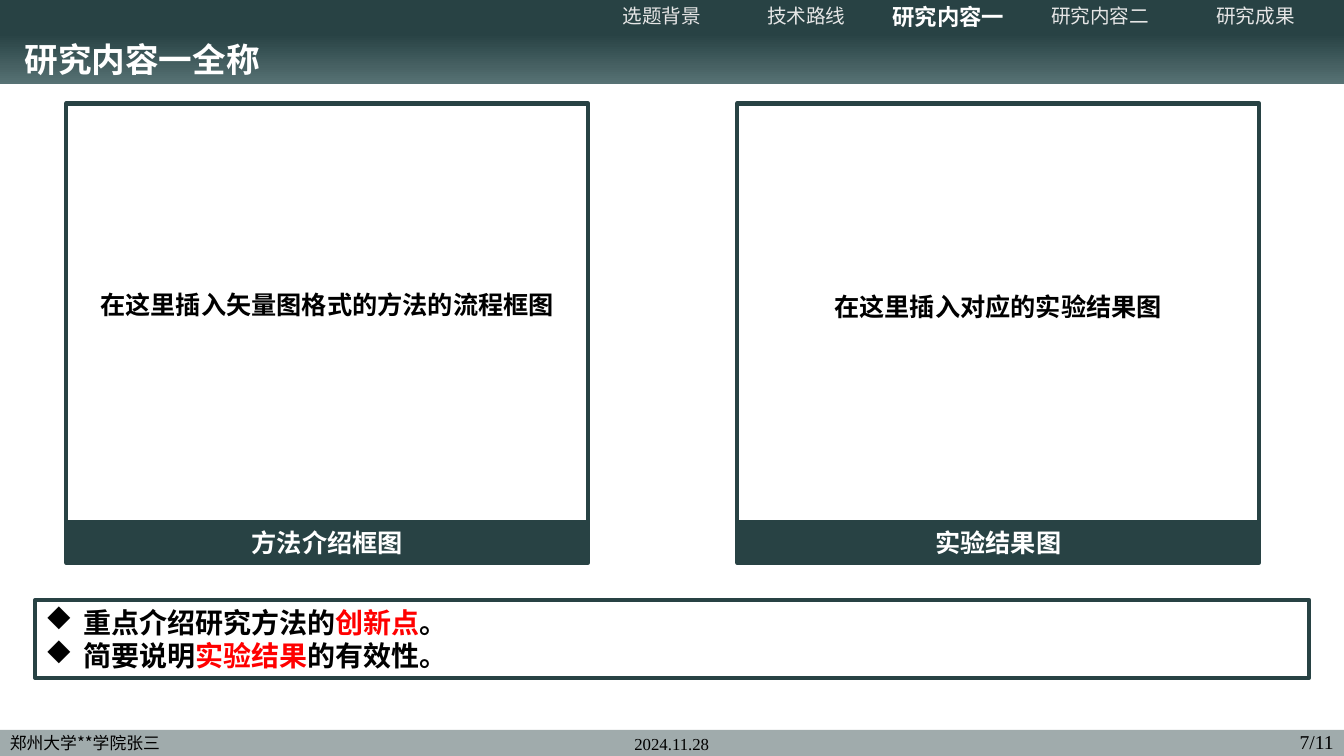
from pptx import Presentation
from pptx.dml.color import RGBColor
from pptx.enum.shapes import MSO_SHAPE as Shape
from pptx.enum.text import MSO_ANCHOR as Anchor, PP_ALIGN as Align
from pptx.oxml.ns import qn
from pptx.util import Pt
from lxml.etree import SubElement

# Content
TITLE = "研究内容一全称"
SECTIONS = [("选题背景", 472.7), ("技术路线", 576), ("研究内容一", 677.5),
            ("研究内容二", 785.9), ("研究成果", 896.8)]  # label, centre
CURRENT_SECTION = "研究内容一"
FIGURES = [  # left, prompt, prompt top, caption
    (47.2, "在这里插入矢量图格式的方法的流程框图", 203, "方法介绍框图"),
    (526.5, "在这里插入对应的实验结果图", 204.5, "实验结果图"),
]
KEY_POINTS = [  # text, highlighted
    [("重点介绍研究方法的", False), ("创新点", True), ("。", False)],
    [("简要说明", False), ("实验结果", True), ("的有效性。", False)],
]
AUTHOR, DATE, PAGE = "郑州大学**学院张三", "2024.11.28", "7/11"

# Style
WIDTH, HEIGHT = 960, 540
DARK, LIGHT, WHITE, BLACK, PALE, RED = (
    "284244", "577274", "FFFFFF", "000000", "E6E6E6", "FF0000")
CJK, LATIN = "Noto Sans CJK SC", "Times New Roman"
FRAME_TOP, FRAME_WIDTH, FRAME_HEIGHT, CAPTION_HEIGHT = 73.9, 373, 299.1, 28.8
SECTION_WIDTH = 100

prs = Presentation()
prs.slide_width, prs.slide_height = Pt(WIDTH), Pt(HEIGHT)
slide = prs.slides.add_slide(prs.slide_layouts[6])


def rgb(hex_color):
    return RGBColor.from_string(hex_color)


def add_run(paragraph, text, size, color, bold=False, face=CJK):
    run = paragraph.add_run()
    run.text = text
    for key, value in dict(size=Pt(size), bold=bold, name=face).items():
        setattr(run.font, key, value)
    run.font.color.rgb = rgb(color)
    SubElement(run.font._element, qn("a:ea"), typeface=face)


def add_rect(left, top, width, height, fill=None, line=None):
    rect = slide.shapes.add_shape(Shape.RECTANGLE, Pt(left), Pt(top), Pt(width), Pt(height))
    rect.shadow.inherit = False
    if fill:
        rect.fill.solid()
        rect.fill.fore_color.rgb = rgb(fill)
    else:
        rect.fill.background()
    if line:
        rect.line.color.rgb = rgb(line)
        rect.line.width = Pt(3)
    else:
        rect.line.fill.background()
    return rect


def write(shape, text, size, color, bold=False, face=CJK,
          align=Align.LEFT, anchor=Anchor.TOP, wrap=True):
    frame = shape.text_frame
    for key, value in dict(word_wrap=wrap, vertical_anchor=anchor).items():
        setattr(frame, key, value)
    paragraph = frame.paragraphs[0]
    paragraph.alignment = align
    add_run(paragraph, text, size, color, bold, face)
    return paragraph


def add_label(left, top, width, height, *text, **style):
    box = slide.shapes.add_textbox(Pt(left), Pt(top), Pt(width), Pt(height))
    return write(box, *text, **style)


# Header and footer bands
footer = add_rect(0, 521.3, WIDTH, HEIGHT - 521.3, DARK)
footer_color = footer.fill._xPr.find(qn("a:solidFill"))[0]
SubElement(footer_color, qn("a:alpha"), val="44000")
add_rect(0, 0, WIDTH, 23, DARK)
banner = add_rect(0, 22.3, WIDTH, 38)
banner.fill.gradient()
banner.fill.gradient_angle = 270
for stop, (position, color) in zip(banner.fill.gradient_stops, [(0.05, DARK), (1, LIGHT)]):
    stop.position = position
    stop.color.rgb = rgb(color)

# Footer text
add_label(0, 519.8, 127.5, 21.8, AUTHOR, 12, BLACK)
add_label(425.5, 520.6, 108.7, 21.8, DATE, 12, BLACK, face=LATIN, align=Align.CENTER)
add_label(899.3, 520.6, 60.5, 18.7, PAGE, 14, BLACK, face=LATIN,
          align=Align.RIGHT, anchor=Anchor.MIDDLE)

# Title and section navigation
add_label(10.4, 27.4, 685.4, 38.2, TITLE, 24, WHITE, bold=True).line_spacing = 0.9
for section, centre in SECTIONS:
    active = section == CURRENT_SECTION
    add_label(centre - SECTION_WIDTH / 2, -2.9, SECTION_WIDTH, 28.8, section,
              16 if active else 14, WHITE if active else PALE, bold=active,
              align=Align.CENTER, anchor=Anchor.MIDDLE, wrap=False)

# Figure frames with captions
for left, prompt, prompt_top, caption in FIGURES:
    add_rect(left, FRAME_TOP, FRAME_WIDTH, FRAME_HEIGHT, line=DARK)
    bar = add_rect(left, FRAME_TOP + FRAME_HEIGHT, FRAME_WIDTH, CAPTION_HEIGHT, DARK, DARK)
    write(bar, caption, 18, WHITE, bold=True, align=Align.CENTER, anchor=Anchor.MIDDLE)
    add_label(left + 6.8, prompt_top, 359.3, 28.8, prompt, 18, BLACK,
              bold=True, align=Align.CENTER)

# Key points
points = add_rect(25.2, 428.6, 910, 55.6, line=DARK).text_frame
points.word_wrap = True
points.vertical_anchor = Anchor.MIDDLE
for number, parts in enumerate(KEY_POINTS):
    paragraph = points.add_paragraph() if number else points.paragraphs[0]
    paragraph.alignment = Align.LEFT
    properties = paragraph._p.get_or_add_pPr()
    properties.set("marL", str(Pt(27)))
    properties.set("indent", str(-Pt(27)))
    # Wingdings draws "u" as a small solid diamond
    SubElement(properties, qn("a:buFont"), typeface="Wingdings", charset="2")
    SubElement(properties, qn("a:buChar"), char="u")
    for text, highlighted in parts:
        add_run(paragraph, text, 20, RED if highlighted else BLACK, bold=True)

prs.save("out.pptx")
